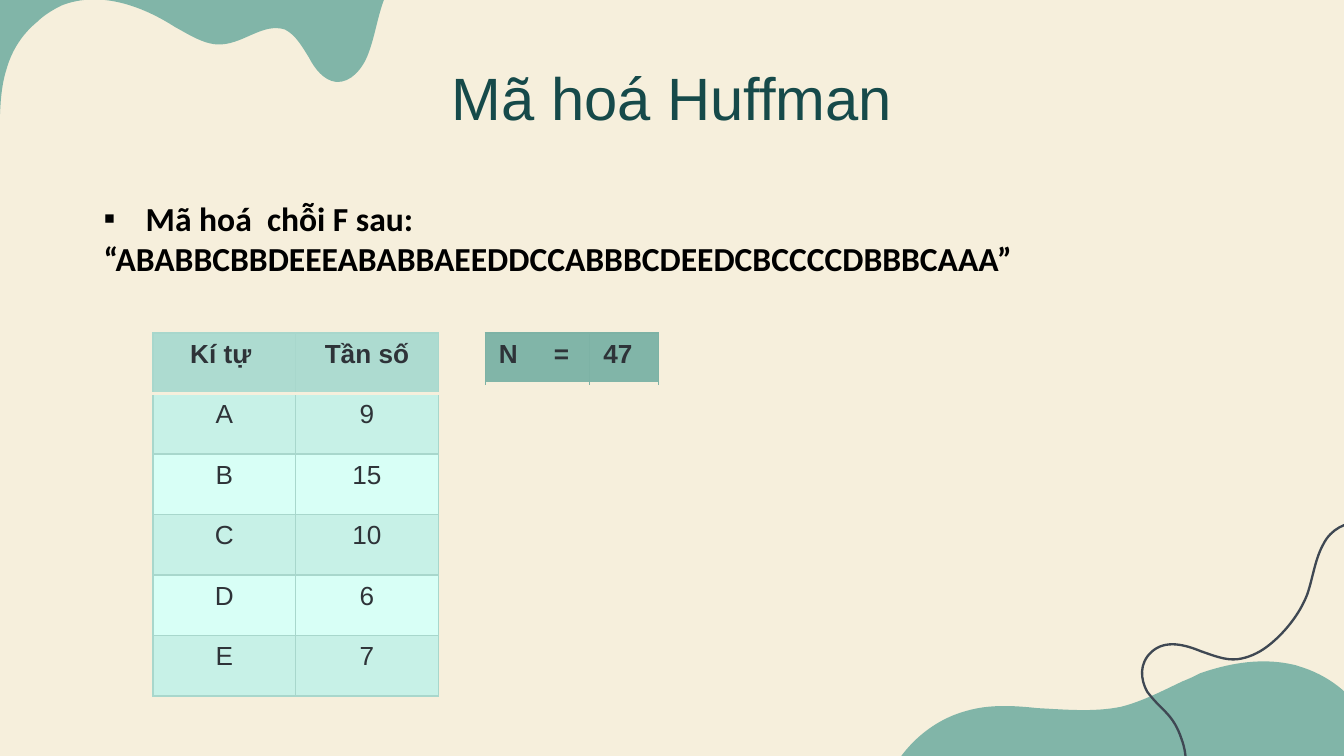
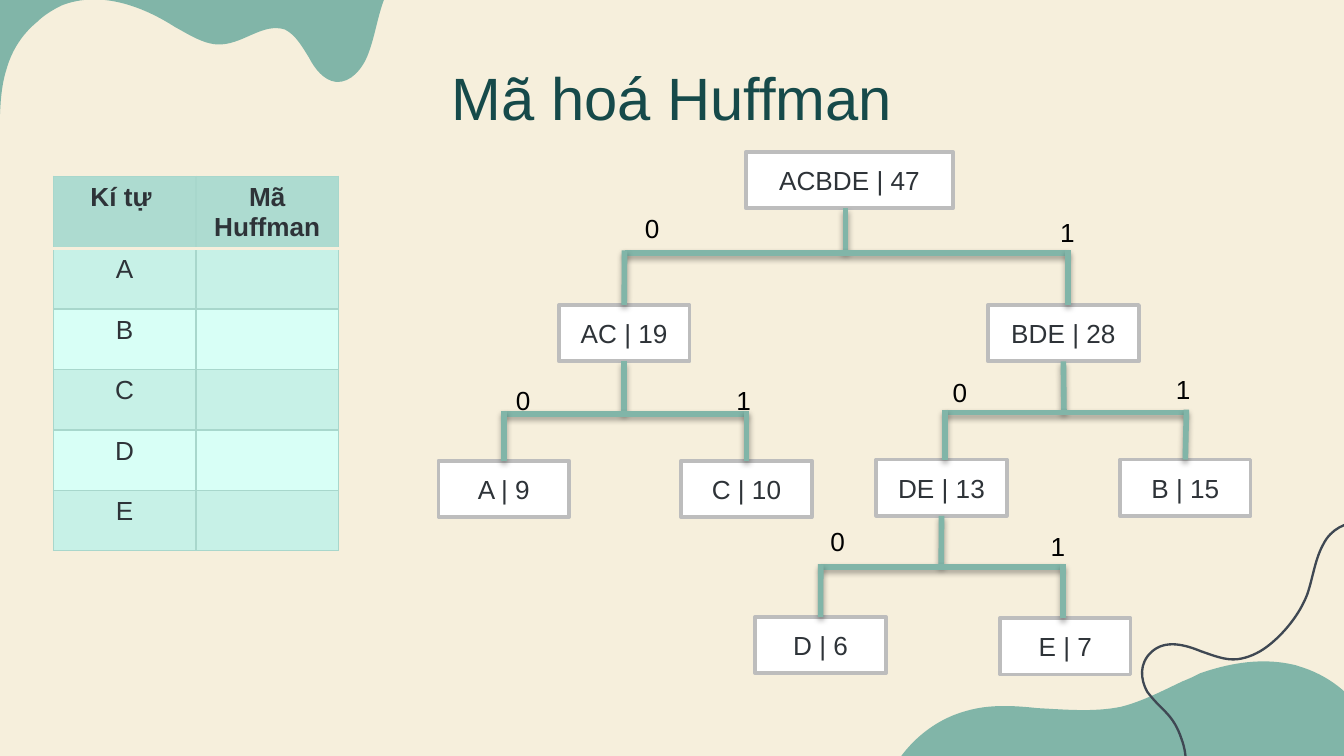
from lxml import etree
from pptx import Presentation
from pptx.dml.color import RGBColor
from pptx.enum.shapes import MSO_CONNECTOR, MSO_SHAPE
from pptx.enum.text import MSO_ANCHOR, PP_ALIGN
from pptx.oxml import parse_xml
from pptx.oxml.ns import nsdecls, qn
from pptx.util import Pt

CENTER, LEFT = PP_ALIGN.CENTER, PP_ALIGN.LEFT
TOP, MIDDLE = MSO_ANCHOR.TOP, MSO_ANCHOR.MIDDLE
RECTANGLE, STRAIGHT = MSO_SHAPE.RECTANGLE, MSO_CONNECTOR.STRAIGHT

CREAM = RGBColor(0xF6, 0xEF, 0xDC)
SAGE = RGBColor(0x81, 0xB5, 0xA8)
SAGE_EDGE = RGBColor(0x7D, 0xB2, 0xA5)
MINT = RGBColor(0xAD, 0xDB, 0xD0)
MINT_EDGE = RGBColor(0xA8, 0xD7, 0xCC)
ODD_ROW = RGBColor(0xC7, 0xF1, 0xE7)
EVEN_ROW = RGBColor(0xD8, 0xFF, 0xF6)
SLATE = RGBColor(0x3F, 0x48, 0x53)
TITLE_GREEN = RGBColor(0x16, 0x4A, 0x4A)
INK = RGBColor(0x2E, 0x33, 0x38)
GREY = RGBColor(0xBD, 0xBD, 0xBD)
WHITE = RGBColor(0xFF, 0xFF, 0xFF)
BLACK = RGBColor(0, 0, 0)

TITLE = "Mã hoá Huffman"
NODE_HEIGHT = 30.2
LINE_WIDTH = 3

TOP_BLOB = [(-1.4, 85), [
    (0.7, 69, -1.4, 52, 3.6, 36.7), (6.5, 26.6, 12.2, 18, 20.2, 11.5),
    (23.8, 7.9, 28.8, 5, 33.1, 2.9), (53.3, -5, 75.6, 2.9, 93.6, 14.4),
    (101.5, 18.7, 110.2, 24.5, 118.8, 23.8), (131, 23, 141.1, 12.2, 152.6, 15.8),
    (158.4, 18.7, 162, 25.2, 165.6, 31), (168.5, 36.7, 173.5, 43.2, 180, 43.9),
    (187.9, 44.6, 194.4, 36.7, 197.3, 28.8), (200.9, 19.4, 202.3, 8.6, 205.9, -0.7),
    (205.9, -0.7, -1.4, -0.7, -1.4, -0.7)]]
BOTTOM_BLOB = [(738, 418.3), [
    (738, 407.5, 737.3, 398.2, 733, 387.4), (726.5, 373.7, 713.5, 362.9, 698.4, 357.8),
    (697, 357.1, 695.5, 357.1, 694.1, 356.4), (676.8, 352.1, 659.5, 355, 643, 360.7),
    (640.1, 362.2, 637.2, 363.6, 633.6, 365), (622.8, 370.1, 612, 375.8, 600.5, 378.7),
    (586.1, 381.6, 571, 380.2, 555.8, 379.4), (542.9, 378, 529.9, 377.3, 517.7, 380.9),
    (499, 385.9, 482.9, 400.3, 475.2, 418.3)]]
SQUIGGLE = [(760, 290), [
    (751, 285, 742, 279.5, 730, 279.5), (721, 279.5, 713, 283.5, 709, 291.5),
    (704.5, 299.5, 703.5, 309, 700.5, 318), (696.5, 329, 687.5, 340, 678.5, 346.7),
    (674, 350, 668.5, 352.5, 663, 353.2), (656.5, 354, 649.5, 351, 643.5, 349),
    (635, 345.5, 624.5, 342.5, 617, 349.2), (610, 355.5, 611, 364, 614.5, 370.5),
    (617.5, 374.5, 620.5, 377.5, 624, 381), (628.5, 385.5, 631, 390, 633, 396),
    (636, 404, 636, 412.5, 633.5, 420.5)]]


def write_text(frame, text, size=14, color=INK, font="Arial", bold=False, align=LEFT, anchor=TOP):
    frame.word_wrap = True
    frame.vertical_anchor = anchor
    for index, line in enumerate(text.split("\n")):
        paragraph = frame.add_paragraph() if index else frame.paragraphs[0]
        paragraph.alignment = align
        run = paragraph.add_run()
        run.text = line
        run.font.size = Pt(size)
        run.font.name = font
        run.font.bold = bold
        run.font.color.rgb = color


def add_grid(slide, left, top, widths, row_height, rows, header_fill, edge, align):
    frame = slide.shapes.add_table(len(rows), len(widths), Pt(left), Pt(top),
                                   Pt(sum(widths)), Pt(row_height * len(rows)))
    table = frame.table
    table.horz_banding = False
    for column, width in zip(table.columns, widths):
        column.width = Pt(width)
    for row_index, texts in enumerate(rows):
        table.rows[row_index].height = Pt(row_height)
        for column_index, text in enumerate(texts):
            cell = table.cell(row_index, column_index)
            cell.margin_bottom = Pt(1.5)
            properties = cell._tc.get_or_add_tcPr()
            for side in "LRTB":
                under_header = (row_index, side) in [(0, "B"), (1, "T")]
                color, width = (CREAM, 2) if under_header else (edge, 0.75)
                properties.append(parse_xml(
                    f'<a:ln{side} {nsdecls("a")} w="{Pt(width)}"><a:solidFill>'
                    f'<a:srgbClr val="{color}"/></a:solidFill></a:ln{side}>'))
            cell.fill.solid()
            band = ODD_ROW if row_index % 2 else EVEN_ROW
            cell.fill.fore_color.rgb = band if row_index else header_fill
            if text:
                write_text(cell.text_frame, text, bold=row_index == 0, align=align)
    return table


presentation = Presentation()
presentation.slide_width, presentation.slide_height = Pt(720), Pt(405)

slides = []
for _ in range(2):
    slide = presentation.slides.add_slide(presentation.slide_layouts[6])
    slides.append(slide)
    slide.background.fill.solid()
    slide.background.fill.fore_color.rgb = CREAM
    for (start, curves), color, closed in [
            (TOP_BLOB, SAGE, True), (BOTTOM_BLOB, SAGE, True), (SQUIGGLE, SLATE, False)]:
        builder = slide.shapes.build_freeform(Pt(start[0]), Pt(start[1]))
        builder.add_line_segments([(Pt(curve[4]), Pt(curve[5])) for curve in curves], close=closed)
        shape = builder.convert_to_shape()
        shape.shadow.inherit = False
        segments = list(shape._element.iter(qn("a:lnTo")))
        for segment, curve in zip(segments, curves):
            bezier = etree.Element(qn("a:cubicBezTo"))
            for x, y in zip(curve[::2], curve[1::2]):
                etree.SubElement(bezier, qn("a:pt"), x=str(Pt(x) - shape.left),
                                 y=str(Pt(y) - shape.top))
            segment.getparent().replace(segment, bezier)
        if closed:
            shape.fill.solid()
            shape.fill.fore_color.rgb = color
            shape.line.fill.background()
        else:
            shape.fill.background()
            shape.line.color.rgb = color
            shape.line.width = Pt(1.25)
    title = slide.shapes.add_textbox(Pt(56), Pt(34), Pt(608), Pt(36)).text_frame
    title.margin_left = title.margin_right = title.margin_top = title.margin_bottom = 0
    write_text(title, TITLE, size=32, color=TITLE_GREEN, align=CENTER, anchor=MIDDLE)

frequency_slide, tree_slide = slides

task = frequency_slide.shapes.add_textbox(Pt(48.5), Pt(102.4), Pt(587.5), Pt(51)).text_frame
write_text(task, "Mã hoá  chỗi F sau:\n“ABABBCBBDEEEABABBAEEDDCCABBBCDEEDCBCCCCDBBBCAAA”",
           size=18, color=BLACK, font="Calibri", bold=True)
bullet = task.paragraphs[0]._p.get_or_add_pPr()
bullet.set("marL", str(Pt(22.5)))
bullet.set("indent", str(Pt(-22.5)))
etree.SubElement(bullet, qn("a:buFont")).set("typeface", "Arial")
etree.SubElement(bullet, qn("a:buChar")).set("char", "▪")

frequencies = [("Kí tự ", "Tần số"), ("A", "9"), ("B", "15"), ("C", "10"), ("D", "6"), ("E", "7")]
add_grid(frequency_slide, 82, 178.4, [76.4, 76.4], 32.4, frequencies, MINT, MINT_EDGE, CENTER)
total = add_grid(frequency_slide, 260, 178.4, [56, 36.8], 27, [("N\t=", "47")],
                 SAGE, SAGE_EDGE, LEFT)
tabs = etree.SubElement(total.cell(0, 0).text_frame.paragraphs[0]._p.get_or_add_pPr(),
                        qn("a:tabLst"))
etree.SubElement(tabs, qn("a:tab"), pos=str(Pt(29.5)), algn="l")

nodes = {
    "D | 6": (404.6, 330.5, 70), "E | 7": (535.7, 331.2, 70),
    "DE | 13": (469.4, 246.2, 70), "B | 15": (600, 246.2, 70),
    "BDE | 28": (529.2, 163.4, 81), "A | 9": (234.9, 246.8, 70),
    "C | 10": (364.9, 246.8, 70), "AC | 19": (299.4, 163.4, 70),
    "ACBDE | 47": (399.6, 81.4, 111),
}
boxes = {}
for name, (left, top, width) in nodes.items():
    box = tree_slide.shapes.add_shape(RECTANGLE, Pt(left), Pt(top), Pt(width), Pt(NODE_HEIGHT))
    box.shadow.inherit = False
    box.fill.solid()
    box.fill.fore_color.rgb = WHITE
    box.line.color.rgb = GREY
    box.line.width = Pt(2)
    write_text(box.text_frame, name, align=CENTER, anchor=MIDDLE)
    boxes[name] = box

branches = [
    (("ACBDE | 47", 453), ("AC | 19", 334.6), ("BDE | 28", 572.2), 135.6,
     (338.4, 110.2), (560.9, 112.3)),
    (("AC | 19", 334.4), ("A | 9", 269.9), ("C | 10", 399.9), 221.8,
     (269.3, 202.3), (387.4, 202.3)),
    (("BDE | 28", 570), ("DE | 13", 506.2), ("B | 15", 635.6), 221,
     (503.3, 198), (622.8, 196.6)),
    (("DE | 13", 504.2), ("D | 6", 439.7), ("E | 7", 569.5), 303.8,
     (437.8, 277.9), (555.8, 280.8)),
]
for (parent, stem_x), (zero_child, zero_x), (one_child, one_x), bar_y, *places in branches:
    corner_y = bar_y - LINE_WIDTH / 2
    for start_x, start_y, end_x, end_y, target, site in [
            (stem_x, bar_y, stem_x, nodes[parent][1] + NODE_HEIGHT, parent, 2),
            (one_x, bar_y, zero_x, bar_y, None, None),
            (zero_x, corner_y, zero_x, nodes[zero_child][1], zero_child, 0),
            (one_x, corner_y, one_x, nodes[one_child][1], one_child, 0)]:
        line = tree_slide.shapes.add_connector(STRAIGHT, Pt(start_x), Pt(start_y),
                                               Pt(end_x), Pt(end_y))
        if target and abs(nodes[target][0] + nodes[target][2] / 2 - end_x) < 1:
            line.end_connect(boxes[target], site)
        line.line.color.rgb = SAGE
        line.line.width = Pt(LINE_WIDTH)
        line._element.spPr.append(parse_xml(
            f'<a:effectLst {nsdecls("a")}><a:outerShdw blurRad="{Pt(3.1)}" dist="{Pt(1.8)}" '
            'dir="5400000" rotWithShape="0"><a:srgbClr val="000000"><a:alpha val="35000"/>'
            '</a:srgbClr></a:outerShdw></a:effectLst>'))
    for digit, (left, top) in zip("01", places):
        label = tree_slide.shapes.add_textbox(Pt(left), Pt(top), Pt(26), Pt(24.2))
        write_text(label.text_frame, digit, color=BLACK)

codes = [("Kí tự ", "Mã Huffman")] + [(letter, "") for letter in "ABCDE"]
add_grid(tree_slide, 28.6, 94.4, [76.4, 76.4], 32.4, codes, MINT, MINT_EDGE, CENTER)

presentation.save("out.pptx")
